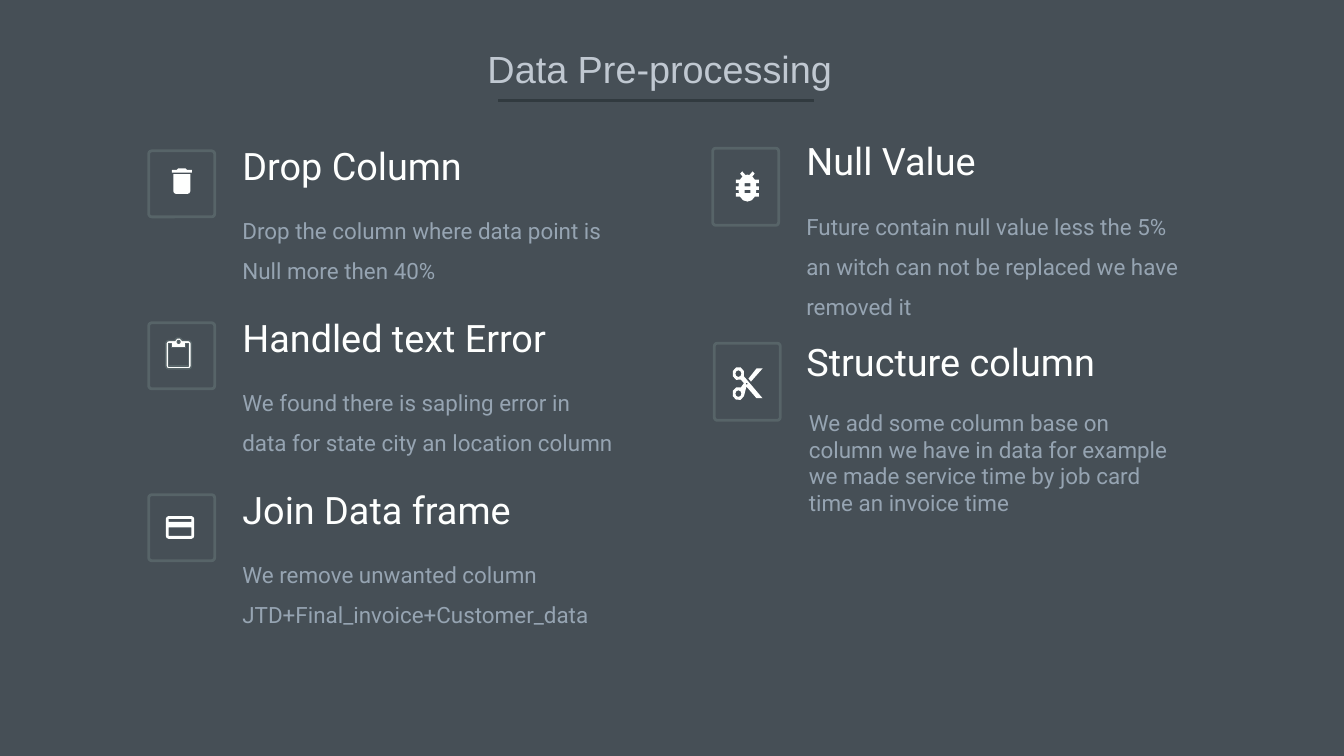
from math import cos, radians, sin

from lxml import etree
from pptx import Presentation
from pptx.dml.color import RGBColor
from pptx.enum.shapes import MSO_CONNECTOR, MSO_SHAPE
from pptx.enum.text import MSO_ANCHOR, MSO_AUTO_SIZE, PP_ALIGN
from pptx.oxml.ns import qn
from pptx.util import Pt

ROUNDED = MSO_SHAPE.ROUNDED_RECTANGLE
STRAIGHT = MSO_CONNECTOR.STRAIGHT
TOP = MSO_ANCHOR.TOP
GROW = MSO_AUTO_SIZE.SHAPE_TO_FIT_TEXT
LEFT = PP_ALIGN.LEFT

BACKGROUND, WHITE, GREY = "464F56", "FEFFFE", "96A4B2"
TITLE_COLOR, RULE_COLOR, FRAME_COLOR = "C0C8D1", "313A3F", "576468"
GRID = 100  # freeform steps per icon unit


def color(hex_string):
    return RGBColor.from_string(hex_string)


def arc(cx, cy, radius, start, end):
    """Points along an arc, about 45 degrees apart, clockwise from the right."""
    steps = max(2, round(abs(end - start) / 45))
    angles = [radians(start + (end - start) * i / steps) for i in range(steps + 1)]
    return [(cx + radius * cos(a), cy + radius * sin(a)) for a in angles]


def circle(cx, cy, radius):
    return arc(cx, cy, radius, 0, 315)


def box(left, top, right, bottom):
    return [(left, top), (right, top), (right, bottom), (left, bottom)]


def trash_icon():
    lid = [(0, 1), (3.5, 1), (4.5, 0), (9.5, 0), (10.5, 1), (14, 1), (14, 3), (0, 3)]
    bin_body = [(1, 4), (13, 4)] + arc(11, 16, 2, 0, 90) + arc(3, 16, 2, 90, 180)
    return [bin_body, lid]


def clipboard_icon():
    board = (arc(9, 3, 3, 199.5, 340.5) + arc(16, 4, 2, -90, 0)
             + arc(16, 20, 2, 0, 90) + arc(2, 20, 2, 90, 180)
             + arc(2, 4, 2, 180, 270))
    paper = [(2, 4), (4, 4), (4, 7), (14, 7), (14, 4), (16, 4), (16, 20), (2, 20)]
    return [board, circle(9, 3, 1), paper]


def card_icon():
    corners = [(18, 2, -90), (18, 14, 0), (2, 14, 90), (2, 2, 180)]
    card = [p for x, y, a in corners for p in arc(x, y, 2, a, a + 90)]
    return [card, box(2, 2, 18, 4), box(2, 8, 18, 14)]


def bug_icon():
    left_half = [(8, 2), (6.59, 2.17), (4.41, 0), (3, 1.41), (4.62, 3.04),
                 (2.81, 5), (0, 5), (0, 7), (2.09, 7), (2, 8), (2, 9),
                 (0, 9), (0, 11), (2, 11), (2, 12), (2.09, 13), (0, 13), (0, 15),
                 (2.81, 15), (5, 17.2), (8, 18)]
    right_half = [(16 - x, y) for x, y in left_half[-2:0:-1]]
    return [left_half + right_half, box(6, 7, 10, 9), box(6, 11, 10, 13)]


def scissors_icon():
    handles = (arc(4, 4, 4, 24, -294) + [(7.67, 9.7)] + arc(4, 16, 4, -66, -336)
               + [(9.33, 11.8), (16, 18.8), (20, 18.8)])
    blade = [(16, 0.9), (10.67, 7), (12.33, 8.8), (20, 0.9)]
    return [handles, circle(4, 4, 2), circle(4, 16, 2), box(9, 9.5, 10, 10.5), blade]


def add_icon(slide, contours, left, top, unit_width, unit_height, outline=None):
    """Draw icon contours, inner ones as holes; units are points per icon unit."""
    grids = [[(x * GRID, y * GRID) for x, y in contour] for contour in contours]
    builder = slide.shapes.build_freeform(
        *grids[0][0], scale=(Pt(unit_width) / GRID, Pt(unit_height) / GRID))
    builder.add_line_segments(grids[0][1:], close=True)
    for grid in grids[1:]:
        builder.move_to(*grid[0])
        builder.add_line_segments(grid[1:], close=True)
    icon = builder.convert_to_shape(Pt(left), Pt(top))
    icon.shadow.inherit = False
    icon.fill.solid()
    icon.fill.fore_color.rgb = color(WHITE)
    if outline:
        icon.line.color.rgb = color(outline)
        icon.line.width = Pt(2)
    else:
        icon.line.fill.background()


def add_frame(slide, left, top, width, height):
    frame = slide.shapes.add_shape(ROUNDED, Pt(left), Pt(top), Pt(width), Pt(height))
    frame.adjustments[0] = 0.046
    frame.shadow.inherit = False
    frame.fill.background()
    frame.line.color.rgb = color(FRAME_COLOR)
    frame.line.width = Pt(4)


def format_text(holder, text, size, font, hex_color, inset, spacing=None):
    text_frame = holder.text_frame
    text_frame.text = text
    text_frame.word_wrap = True
    text_frame.auto_size = GROW
    text_frame.vertical_anchor = TOP
    text_frame.margin_left = text_frame.margin_right = Pt(inset)
    text_frame.margin_top = text_frame.margin_bottom = Pt(3.6)
    for paragraph in text_frame.paragraphs:
        paragraph.alignment = LEFT
        if spacing:
            paragraph.line_spacing = spacing
        for run in paragraph.runs:
            run.font.size = Pt(size)
            run.font.name = font
            run.font.color.rgb = color(hex_color)


def add_heading(slide, text, left, top, width, height):
    heading = slide.shapes.add_textbox(Pt(left), Pt(top), Pt(width), Pt(height))
    format_text(heading, text, 54, "Roboto", WHITE, 3.6)


def add_detail(slide, text, left, top, height, spacing=None):
    detail = slide.shapes.add_textbox(Pt(left), Pt(top), Pt(546), Pt(height))
    format_text(detail, text, 32, "Roboto", GREY, 7.2, spacing)


def add_title(slide):
    title = slide.shapes.title
    title.left, title.top, title.width, title.height = Pt(692.8), Pt(61.2), Pt(663), Pt(72.7)
    format_text(title, "Data Pre-processing", 54, "Arial", TITLE_COLOR, 3.6)
    rule = slide.shapes.add_connector(STRAIGHT, Pt(712), Pt(143.3), Pt(1162.4), Pt(143.3))
    rule.line.color.rgb = color(RULE_COLOR)
    rule.line.width = Pt(4)
    etree.SubElement(rule._element.spPr, qn("a:effectLst"))


def add_left_column(slide):
    steps = [
        ("Drop Column", "Drop the column where data point is Null more then 40%", 420.5),
        ("Handled text Error",
         "We found there is sapling error in data for state city an location column", 467.3),
        ("Join Data frame", "We remove unwanted column\nJTD+Final_invoice+Customer_data", 420.5),
    ]
    for index, (heading, detail, heading_width) in enumerate(steps):
        top = 200 + index * 245.6
        add_heading(slide, heading, 342.7, top, heading_width, 72.7)
        add_frame(slide, 212.4, top + 15.5, 94.3, 94.3)
        add_detail(slide, detail, 339.1, top + 87.4, 116.6, 1.5)
    add_icon(slide, trash_icon(), 245.5, 240.5, 2.03, 2.03)
    add_icon(slide, clipboard_icon(), 236.9, 482.4, 2.03, 2.03, FRAME_COLOR)
    add_icon(slide, card_icon(), 236.9, 737.3, 2.03, 2.03)


def add_right_column(slide):
    add_heading(slide, "Null Value", 1148.4, 193.7, 420.5, 85)
    add_frame(slide, 1018.1, 211.7, 94.3, 110.2)
    add_detail(slide, "Future contain null value less the 5% an witch can not be "
               "replaced we have removed it", 1144.8, 281.5, 203.8, 1.5)
    add_icon(slide, bug_icon(), 1051.2, 244.8, 2.07, 2.4)

    add_heading(slide, "Structure column", 1148.4, 480.2, 491.8, 85)
    add_frame(slide, 1020.4, 490.3, 94.3, 110.2)
    add_detail(slide, "We add some column base on column we have in data for example "
               "we made service time by job card time an invoice time",
               1148.4, 580.5, 189.4)
    add_icon(slide, scissors_icon(), 1046.2, 524.2, 2.16, 2.38)


def main():
    presentation = Presentation()
    presentation.slide_width, presentation.slide_height = Pt(1920), Pt(1080)
    slide = presentation.slides.add_slide(presentation.slide_layouts[5])
    slide.background.fill.solid()
    slide.background.fill.fore_color.rgb = color(BACKGROUND)
    add_title(slide)
    add_left_column(slide)
    add_right_column(slide)
    presentation.save("out.pptx")


if __name__ == "__main__":
    main()
